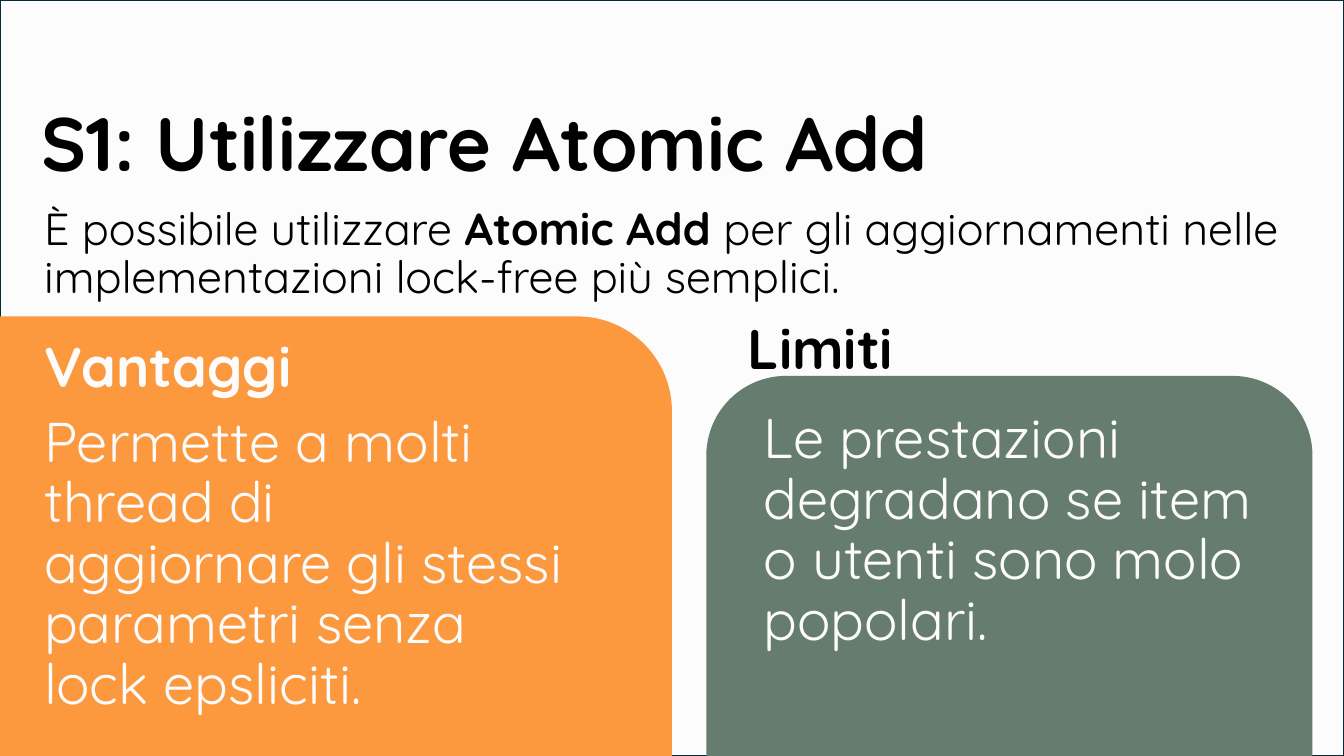
import dataclasses
import typing

import pptx
import pptx.dml.color
import pptx.enum.shapes
import pptx.enum.text
import pptx.util

Pt = pptx.util.Pt
Kind = pptx.enum.shapes.MSO_SHAPE
Anchor = pptx.enum.text.MSO_ANCHOR

FONT = "Quicksand"
WIDE, HIGH = 960, 540
BLACK, PALE, NAVY = "000000", "FCFCFC", "092A39"
ORANGE, GREEN = "FC993E", "667C6F"


class Run(typing.NamedTuple):
    text: str
    bold: bool = False


@dataclasses.dataclass
class Panel:
    box: tuple
    fill: str
    kind: Kind = Kind.ROUNDED_RECTANGLE
    edge: typing.Optional[str] = None


@dataclasses.dataclass
class Label:
    box: tuple
    lines: list
    size: int = 40
    ink: str = PALE
    gap: int = 10
    anchor: Anchor = Anchor.TOP


def color(code: str) -> pptx.dml.color.RGBColor:
    return pptx.dml.color.RGBColor.from_string(code)


def place(box: tuple) -> list:
    return [Pt(side) for side in box]


def draw_panel(slide, panel: Panel) -> None:
    shape = slide.shapes.add_shape(panel.kind, *place(panel.box))
    shape.shadow.inherit = False
    shape.fill.solid()
    shape.fill.fore_color.rgb = color(panel.fill)
    if panel.edge:
        shape.line.color.rgb = color(panel.edge)
        shape.line.width = Pt(1.5)
    else:
        shape.line.fill.background()


def write(para, text: str, *, size: int, ink: str, bold: bool) -> None:
    run = para.add_run()
    run.text = text
    run.font.name = FONT
    run.font.size = Pt(size)
    run.font.bold = bold
    run.font.color.rgb = color(ink)


def draw_label(slide, label: Label) -> None:
    frame = slide.shapes.add_textbox(*place(label.box)).text_frame
    frame.word_wrap = True
    frame.vertical_anchor = label.anchor
    for i, line in enumerate(label.lines):
        para = frame.add_paragraph() if i else frame.paragraphs[0]
        para.line_spacing = 0.9
        para.space_before = Pt(label.gap)
        for run in line:
            write(para, run.text, size=label.size, ink=label.ink, bold=run.bold)


ITEMS = [
    Panel((0, 0, WIDE, HIGH), PALE, Kind.RECTANGLE, NAVY),
    Panel((-76.5, 226, 556.5, 405.5), ORANGE),
    Label((22.5, 70.5, 730, 67.5), [[Run("S1: Utilizzare Atomic Add", True)]],
          size=54, ink=BLACK, gap=0, anchor=Anchor.BOTTOM),
    Label((24.5, 239, 386.5, 250.5), [
        [Run("Vantaggi", True)],
        [Run("Permette a molti thread di aggiornare gli stessi "
             "parametri senza lock epsliciti.")],
    ]),
    Panel((504.5, 268.5, 433, 342), GREEN),
    Label((24.5, 144, 915, 43), [[
        Run("È possibile utilizzare "),
        Run("Atomic Add ", True),
        Run("per gli aggiornamenti nelle implementazioni lock-free più semplici."),
    ]], size=32, ink=BLACK),
    Label((527, 225.5, 193, 43), [[Run("Limiti", True)]], ink=BLACK),
    Label((538.5, 289.5, 363, 180), [
        [Run("Le prestazioni degradano se item o utenti sono molo popolari.")],
    ]),
]


def main() -> None:
    deck = pptx.Presentation()
    deck.slide_width, deck.slide_height = Pt(WIDE), Pt(HIGH)
    slide = deck.slides.add_slide(deck.slide_layouts[6])
    for item in ITEMS:
        draw = draw_panel if isinstance(item, Panel) else draw_label
        draw(slide, item)
    deck.save("out.pptx")


if __name__ == "__main__":
    main()
